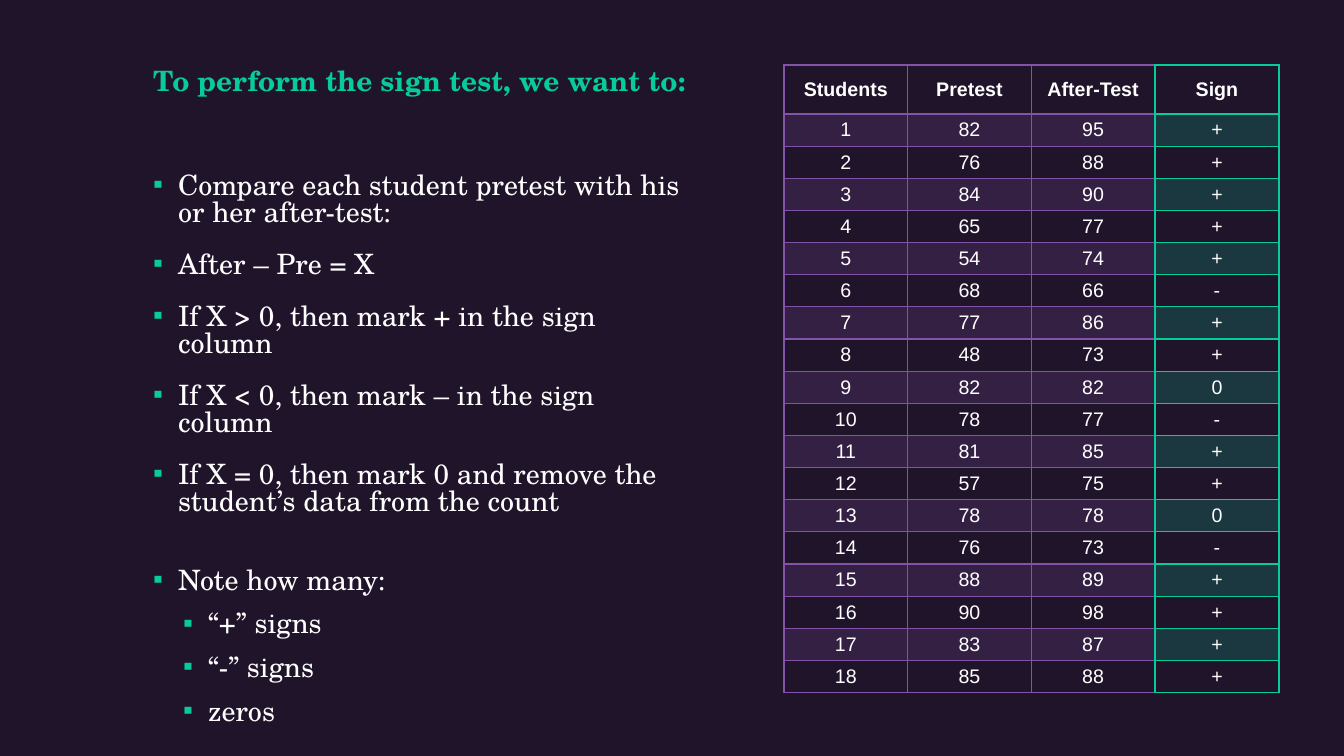
from dataclasses import dataclass

from lxml import etree
from pptx import Presentation
from pptx import util as u
from pptx.dml.color import RGBColor
from pptx.enum import text
from pptx.oxml.ns import qn


@dataclass(frozen=True)
class Theme:
    back: str = "20142A"
    ink: str = "FFFFFF"
    green: str = "07CB98"
    plum: str = "8253A9"
    serif: str = "TeX Gyre Schola"
    sans: str = "Arial"
    body: int = 20
    cell: int = 14
    tint: int = 20


T = Theme()

HEAD = "To perform the sign test, we want to:"
# wording, level, space before in points
STEPS = [
    ("Compare each student pretest with his or her after-test:", 0, 55),
    ("After – Pre = X", 0, 18),
    ("If X > 0, then mark + in the sign column", 0, 18),
    ("If X < 0, then mark – in the sign column", 0, 18),
    ("If X = 0, then mark 0 and remove the student’s data from the count", 0, 18),
    ("Note how many:", 0, 37),
    ("“+” signs", 1, 12),
    ("“-” signs", 1, 12),
    ("zeros", 1, 12),
]

PRE = [82, 76, 84, 65, 54, 68, 77, 48, 82, 78, 81, 57, 78, 76, 88, 90, 83, 85]
AFTER = [95, 88, 90, 77, 74, 66, 86, 73, 82, 77, 85, 75, 78, 73, 89, 98, 87, 88]


def px(n):
    return u.Emu(round(n * 914400 / 100.8))


def sign(pre, after):
    return "+" if after > pre else "-" if after < pre else "0"


def style(par, face, size, color, bold=False):
    for run in par.runs:
        font = run.font
        font.name, font.size, font.bold = face, u.Pt(size), bold
        font.color.rgb = RGBColor.from_string(color)


def bullet(par, left, hang):
    """Indent a paragraph and give it a square bullet, or none if hang is 0."""
    props = par._p.get_or_add_pPr()
    props.set("marL", str(px(left)))
    props.set("indent", str(px(-hang)))
    if not hang:
        etree.SubElement(props, qn("a:buNone"))
        return
    tone = etree.SubElement(props, qn("a:buClr"))
    etree.SubElement(tone, qn("a:srgbClr"), val=T.green)
    etree.SubElement(props, qn("a:buFont"), typeface=T.sans)
    etree.SubElement(props, qn("a:buChar"), char="▪")


def guide(slide, box):
    """Fill the body placeholder with the heading and the steps."""
    hold = slide.placeholders[1]
    hold.left, hold.top, hold.width, hold.height = map(px, box)
    frame = hold.text_frame
    frame.word_wrap = True
    frame.auto_size = text.MSO_AUTO_SIZE.NONE
    frame.vertical_anchor = text.MSO_ANCHOR.TOP
    frame.text = "\n".join([HEAD] + [step[0] for step in STEPS])
    first, *rest = frame.paragraphs
    first.line_spacing, first.space_before = 0.8, u.Pt(18)
    bullet(first, 0, 0)
    style(first, T.serif, T.body, T.green, True)
    for par, (_, level, gap) in zip(rest, STEPS):
        par.level = level
        par.line_spacing, par.space_before = 0.8, u.Pt(gap)
        bullet(par, 25 + 30 * level, 25)
        style(par, T.serif, T.body, T.ink)


def border(cell, color, row):
    props = cell._tc.get_or_add_tcPr()
    thick = {0: "lnB", 1: "lnT"}.get(row)
    for side in ("lnL", "lnR", "lnT", "lnB"):
        width = u.Pt(2 if side == thick else 1)
        line = etree.SubElement(props, qn("a:" + side), w=str(width))
        fill = etree.SubElement(line, qn("a:solidFill"))
        etree.SubElement(fill, qn("a:srgbClr"), val=color)


def tint(cell, color):
    cell.fill.solid()
    cell.fill.fore_color.rgb = RGBColor.from_string(color)
    tone = cell._tc.tcPr.find(qn("a:solidFill")).find(qn("a:srgbClr"))
    etree.SubElement(tone, qn("a:alpha"), val=str(T.tint * 1000))


def grid(slide, box, rows, color, top=49):
    """Draw a table with a tall header row and every other row tinted."""
    x, y, w, h = box
    count, cols = len(rows), len(rows[0])
    table = slide.shapes.add_table(count, cols, *map(px, box)).table
    table.horz_banding = False
    for col in table.columns:
        col.width = px(w / cols)
    for i, row in enumerate(table.rows):
        row.height = px((h - top) / (count - 1) if i else top)
        for cell, value in zip(row.cells, rows[i]):
            cell.text = str(value)
            cell.vertical_anchor = text.MSO_ANCHOR.MIDDLE
            cell.margin_top = cell.margin_bottom = 0
            par = cell.text_frame.paragraphs[0]
            par.alignment = text.PP_ALIGN.CENTER
            style(par, T.sans, T.cell, T.ink, i == 0)
            border(cell, color, i)
            if i % 2:
                tint(cell, color)
            else:
                cell.fill.background()


def main():
    deck = Presentation()
    deck.slide_width, deck.slide_height = px(1344), px(756)
    slide = deck.slides.add_slide(deck.slide_layouts[1])
    slide.background.fill.solid()
    slide.background.fill.fore_color.rgb = RGBColor.from_string(T.back)
    title = slide.shapes.title._element
    title.getparent().remove(title)

    scores = [("Students", "Pretest", "After-Test")]
    scores += zip(range(1, len(PRE) + 1), PRE, AFTER)
    signs = [("Sign",)] + [(sign(*pair),) for pair in zip(PRE, AFTER)]
    guide(slide, (143, 65, 556, 654))
    grid(slide, (784, 65, 371, 628), scores, T.plum)
    grid(slide, (1155, 65, 124, 628), signs, T.green)
    deck.save("out.pptx")


if __name__ == "__main__":
    main()
